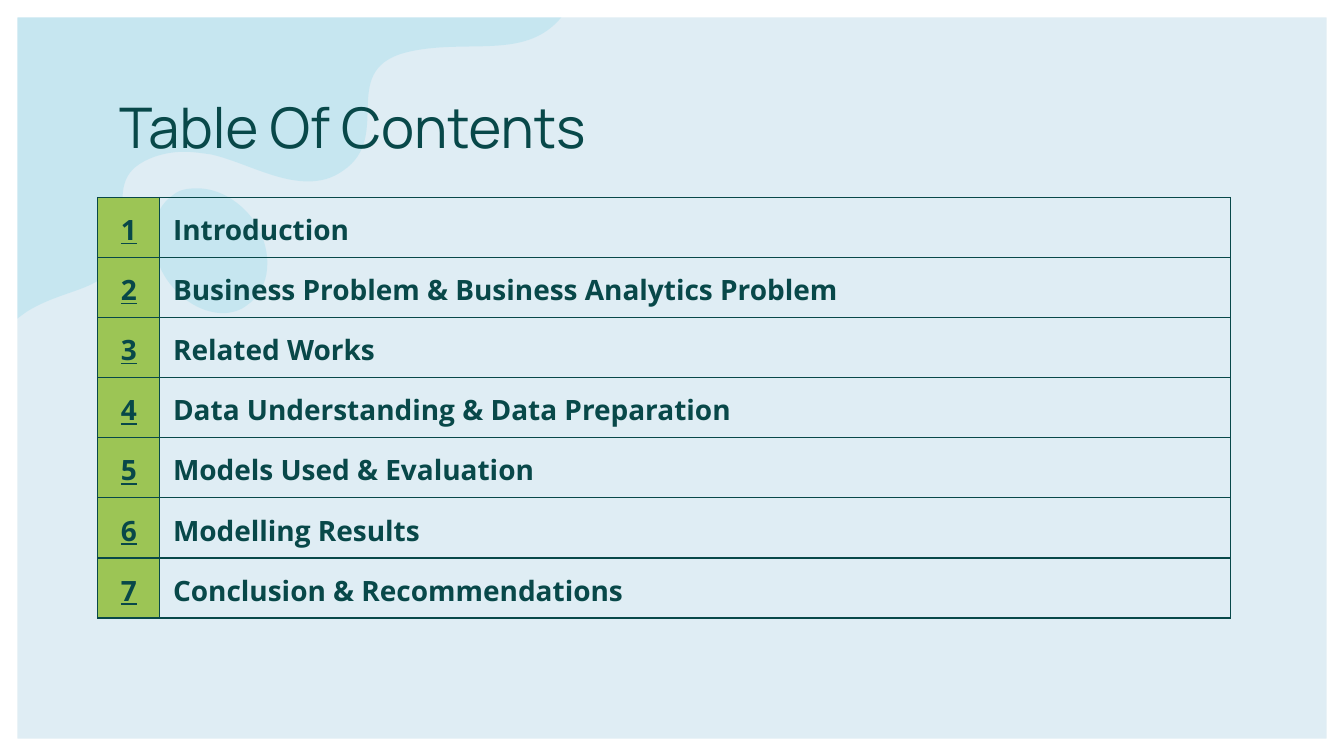
"""Build a table of contents slide with a bordered table over soft blobs."""
import pptx
import pptx.dml.color
import pptx.enum.shapes
import pptx.enum.text
import pptx.oxml
import pptx.oxml.ns
import pptx.util

Cm = pptx.util.Cm
Pt = pptx.util.Pt
RGBColor = pptx.dml.color.RGBColor
qn = pptx.oxml.ns.qn
NAMESPACE = pptx.oxml.ns.nsdecls("a")

PALE_BLUE = RGBColor(0xDF, 0xED, 0xF4)
AQUA = RGBColor(0x7F, 0xD3, 0xE8)
WHITE = RGBColor(0xFF, 0xFF, 0xFF)
DARK_TEAL = RGBColor(0x08, 0x48, 0x49)
GREEN = RGBColor(0x9C, 0xC5, 0x55)

TOPICS = [
    "Introduction",
    "Business Problem & Business Analytics Problem",
    "Related Works",
    "Data Understanding & Data Preparation",
    "Models Used & Evaluation",
    "Modelling Results",
    "Conclusion & Recommendations",
]

CORNER_WAVE = [
    (10.82, 0),
    (10.19, 1.24), (8.99, 0.71), (7.77, 0.97),
    (6.32, 1.27), (7.47, 2.57), (6.48, 3.23),
    (6.27, 3.38), (6.05, 3.43), (5.82, 3.43),
    (5.21, 3.43), (4.57, 3.05), (3.99, 2.92),
    (3.84, 2.9), (3.66, 2.87), (3.48, 2.87),
    (3.18, 2.87), (2.87, 2.95), (2.64, 3.1),
    (2.21, 3.38), (2.34, 3.81), (2.31, 4.29),
    (2.29, 5.59), (1.42, 5.33), (0.51, 5.89),
    (0.33, 6.02), (0.15, 6.15), (0, 6.3),
    (0, 0),
]
PEBBLE = [
    (3.73, 3.56),
    (4.11, 3.56), (4.52, 3.78), (4.8, 4.17),
    (5.18, 4.75), (5.13, 5.46), (4.67, 5.77),
    (4.55, 5.87), (4.37, 5.92), (4.22, 5.92),
    (3.84, 5.92), (3.43, 5.69), (3.15, 5.28),
    (2.77, 4.7), (2.82, 3.99), (3.28, 3.68),
    (3.4, 3.58), (3.56, 3.56), (3.73, 3.56),
]


def bend_segments(shape):
    lines = list(shape._element.iter(qn("a:lnTo")))
    for first in range(0, len(lines) - 2, 3):
        curve = pptx.oxml.parse_xml(f"<a:cubicBezTo {NAMESPACE}/>")
        lines[first].addprevious(curve)
        for line in lines[first:first + 3]:
            curve.append(line[0])
            line.getparent().remove(line)


def add_run(paragraph, text, font_name, size, bold=False, underline=False):
    run = paragraph.add_run()
    run.text = text
    run.font.name = font_name
    run.font.size = Pt(size)
    run.font.bold = bold
    run.font.underline = underline
    run.font.color.rgb = DARK_TEAL


presentation = pptx.Presentation()
presentation.slide_width = Cm(25.4)
presentation.slide_height = Cm(14.29)
slide = presentation.slides.add_slide(presentation.slide_layouts[6])
slide.background.fill.solid()
slide.background.fill.fore_color.rgb = PALE_BLUE

for outline in (CORNER_WAVE, PEBBLE):
    points = [(Cm(x), Cm(y)) for x, y in outline]
    builder = slide.shapes.build_freeform(*points[0])
    builder.add_line_segments(points[1:], close=True)
    blob = builder.convert_to_shape()
    bend_segments(blob)
    blob.shadow.inherit = False
    blob.line.fill.background()
    blob.fill.solid()
    blob.fill.fore_color.rgb = AQUA
    color = next(blob._element.spPr.iter(qn("a:srgbClr")))
    color.append(pptx.oxml.parse_xml(f'<a:alpha {NAMESPACE} val="25000"/>'))

frame = slide.shapes.add_shape(
    pptx.enum.shapes.MSO_SHAPE.FRAME, 0, 0,
    presentation.slide_width, presentation.slide_height)
frame.adjustments[0] = 0.023
frame.shadow.inherit = False
frame.fill.solid()
frame.fill.fore_color.rgb = WHITE
frame.line.fill.background()

title = slide.shapes.add_textbox(Cm(2), Cm(1.49), Cm(21.4), Cm(1.8))
title_frame = title.text_frame
title_frame.word_wrap = True
title_frame.vertical_anchor = pptx.enum.text.MSO_ANCHOR.MIDDLE
title_frame.margin_left = title_frame.margin_right = Cm(0.25)
title_frame.margin_top = title_frame.margin_bottom = Cm(0.25)
add_run(title_frame.paragraphs[0], "Table Of Contents", "Manrope", 30)

table_shape = slide.shapes.add_table(
    len(TOPICS), 2, Cm(1.85), Cm(3.73), Cm(21.41), Cm(8))
table = table_shape.table
table.first_row = False
table.horz_banding = False
table.columns[0].width = Cm(1.17)
table.columns[1].width = Cm(20.24)

for index, topic in enumerate(TOPICS):
    table.rows[index].height = Cm(0.91)
    number_cell, topic_cell = table.cell(index, 0), table.cell(index, 1)
    for cell in (number_cell, topic_cell):
        cell.margin_left = cell.margin_right = Cm(0.25)
        cell.margin_top = cell.margin_bottom = Cm(0.25)
        properties = cell._tc.get_or_add_tcPr()
        for side in ("lnL", "lnR", "lnT", "lnB"):
            properties.append(pptx.oxml.parse_xml(
                f'<a:{side} {NAMESPACE} w="{Pt(0.75)}">'
                f'<a:solidFill><a:srgbClr val="{DARK_TEAL}"/></a:solidFill></a:{side}>'))
    number_cell.fill.solid()
    number_cell.fill.fore_color.rgb = GREEN
    topic_cell.fill.background()
    number_paragraph = number_cell.text_frame.paragraphs[0]
    number_paragraph.alignment = pptx.enum.text.PP_ALIGN.CENTER
    add_run(number_paragraph, str(index + 1), "Open Sans", 15, bold=True, underline=True)
    topic_paragraph = topic_cell.text_frame.paragraphs[0]
    topic_paragraph.space_after = Pt(16)
    add_run(topic_paragraph, topic, "Open Sans", 15, bold=True)
table_shape.height = Cm(8)

presentation.save("out.pptx")
